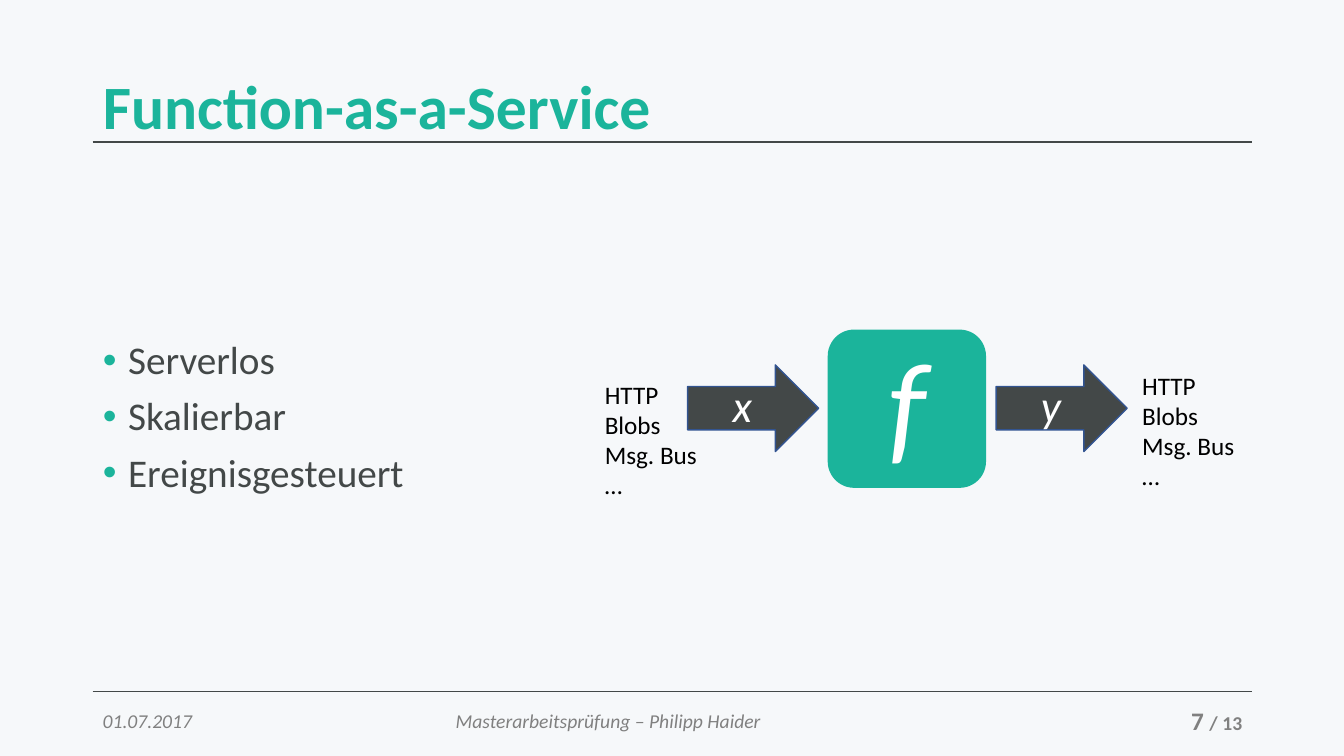
"""Builds the Function-as-a-Service slide with its bullets and function diagram."""
from lxml import etree
from pptx import Presentation
from pptx.dml.color import RGBColor
from pptx.enum.shapes import MSO_CONNECTOR, MSO_SHAPE
from pptx.enum.text import MSO_ANCHOR, MSO_AUTO_SIZE, PP_ALIGN
from pptx.oxml.ns import qn
from pptx.util import Inches, Pt

STRAIGHT = MSO_CONNECTOR.STRAIGHT
ROUNDED, ARROW = MSO_SHAPE.ROUNDED_RECTANGLE, MSO_SHAPE.RIGHT_ARROW
TOP, MIDDLE = MSO_ANCHOR.TOP, MSO_ANCHOR.MIDDLE
LEFT, CENTER, RIGHT = PP_ALIGN.LEFT, PP_ALIGN.CENTER, PP_ALIGN.RIGHT
NO_AUTOFIT = MSO_AUTO_SIZE.NONE

COLORS = {
    "background": "F6F8FA",
    "accent": "1BB49B",
    "dark": "434848",
    "outline": "325491",
    "footer": "808080",
    "white": "FFFFFF",
    "black": "000000",
}


def rgb(name):
    return RGBColor.from_string(COLORS[name])


def write(shape, text, size, color, bold=False, italic=False, align=LEFT, anchor=MIDDLE):
    frame = shape.text_frame
    frame.text = text
    frame.word_wrap = True
    frame.auto_size = NO_AUTOFIT
    frame.vertical_anchor = anchor
    for paragraph in frame.paragraphs:
        paragraph.alignment = align
        for run in paragraph.runs:
            font = run.font
            font.name, font.size = "Calibri", Pt(size)
            font.bold, font.italic = bold, italic
            font.color.rgb = rgb(color)
    return frame


prs = Presentation()
prs.slide_width, prs.slide_height = Inches(13.33), Inches(7.5)
slide = prs.slides.add_slide(prs.slide_layouts[1])
slide.background.fill.solid()
slide.background.fill.fore_color.rgb = rgb("background")

for rule_y in (1.41, 6.86):
    rule = slide.shapes.add_connector(
        STRAIGHT, Inches(0.92), Inches(rule_y), Inches(12.42), Inches(rule_y))
    rule.line.color.rgb = rgb("dark")
    rule.line.width = Pt(1)
    etree.SubElement(rule._element.spPr, qn("a:effectLst"))

title = slide.shapes.title
title.left, title.top, title.width, title.height = map(Inches, (0.92, 0.33, 11.5, 1.52))
heading = write(title, "Function-as-a-Service", 44, "accent", bold=True)
heading.paragraphs[0].line_spacing = 0.9

benefits = slide.placeholders[1]
benefits.left, benefits.top, benefits.width, benefits.height = map(
    Inches, (0.92, 3.33, 4.5, 3.42))
benefit_list = write(
    benefits, "Serverlos\nSkalierbar\nEreignisgesteuert", 28, "dark", anchor=TOP)
for index, benefit in enumerate(benefit_list.paragraphs):
    benefit.line_spacing = 0.9
    benefit.space_before = Pt(10 if index else 0)
    properties = benefit._p.get_or_add_pPr()
    properties.set("marL", str(Inches(0.25)))
    properties.set("indent", str(Inches(-0.25)))
    bullet_color = etree.SubElement(properties, qn("a:buClr"))
    etree.SubElement(bullet_color, qn("a:srgbClr"), val=COLORS["accent"])
    etree.SubElement(properties, qn("a:buFont"), typeface="Arial")
    etree.SubElement(properties, qn("a:buChar"), char="•")

for text, left, width in (
    ("01.07.2017", 0.92, 3),
    ("Masterarbeitsprüfung – Philipp Haider", 4.42, 4.5),
):
    footer = slide.shapes.add_textbox(Inches(left), Inches(6.95), Inches(width), Inches(0.4))
    write(footer, text, 14, "footer", italic=True)

page = slide.shapes.add_textbox(Inches(9.42), Inches(6.95), Inches(3), Inches(0.4))
page_number = write(page, "7 ", 18, "footer", bold=True, align=RIGHT).paragraphs[0]
total = page_number.add_run()
total.text = "/ 13"
total.font.name, total.font.size, total.font.bold = "Calibri", Pt(14), True
total.font.color.rgb = rgb("footer")

for kind, symbol, left, top, width, height, fill, size, inset in (
    (ROUNDED, "f", 8.21, 3.27, 1.57, 1.57, "accent", 88, 0.16),
    (ARROW, "x", 6.82, 3.62, 1.3, 0.86, "dark", 32, 0.08),
    (ARROW, "y", 9.88, 3.62, 1.3, 0.86, "dark", 32, 0.08),
):
    step = slide.shapes.add_shape(kind, Inches(left), Inches(top), Inches(width), Inches(height))
    step.shadow.inherit = False
    step.fill.solid()
    step.fill.fore_color.rgb = rgb(fill)
    if kind == ARROW:
        step.line.color.rgb = rgb("outline")
        step.line.width = Pt(1)
    else:
        step.line.fill.background()
    label = write(step, symbol, size, "white", italic=True, align=CENTER)
    label.margin_top, label.margin_bottom = 0, Inches(inset)

for left, top in ((11.23, 3.62), (5.9, 3.71)):
    endpoints = slide.shapes.add_textbox(Inches(left), Inches(top), Inches(1.14), Inches(1.31))
    write(endpoints, "HTTP\nBlobs\nMsg. Bus\n…", 18, "black", anchor=TOP)

prs.save("out.pptx")
